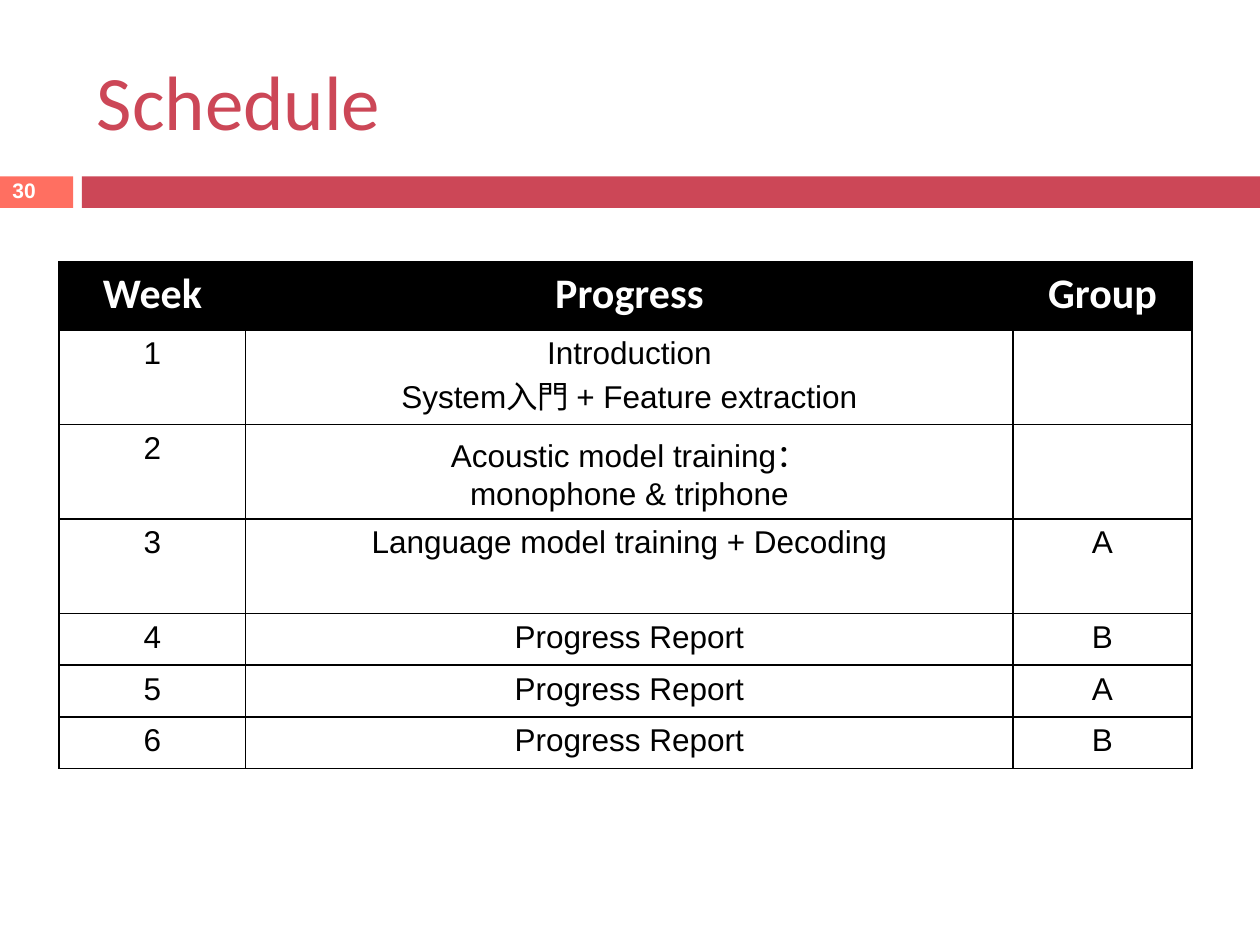
"""Build a course schedule slide with a weekly progress table."""
import pptx
import pptx.dml.color
import pptx.enum.shapes
import pptx.enum.text
import pptx.oxml
import pptx.oxml.ns
import pptx.util

Inches = pptx.util.Inches
Pt = pptx.util.Pt
ALIGN = pptx.enum.text.PP_ALIGN
ANCHOR = pptx.enum.text.MSO_ANCHOR

HUES = {"rose": "CC4757", "coral": "FF6F61", "black": "000000", "white": "FFFFFF"}
FONTS = {
    "title": {"name": "Calibri", "size": Pt(44), "bold": False, "hue": "rose"},
    "head": {"name": "Calibri", "size": Pt(24), "bold": True, "hue": "white"},
    "body": {"name": "Arial", "size": Pt(18), "bold": False, "hue": "black"},
    "page": {"name": "Arial", "size": Pt(12), "bold": True, "hue": "white"},
}
ROWS = [
    ("Week", "Progress", "Group"),
    ("1", "Introduction\nSystem入門 + Feature extraction", ""),
    ("2", "Acoustic model training：\nmonophone & triphone", ""),
    ("3", "Language model training + Decoding", "A"),
    ("4", "Progress Report", "B"),
    ("5", "Progress Report", "A"),
    ("6", "Progress Report", "B"),
]
WIDTHS = [1.48, 6.09, 1.42]
HEIGHTS = [0.54] + [0.75] * 3 + [0.41] * 3


def color(hue):
    return pptx.dml.color.RGBColor.from_string(HUES[hue])


def style(font, kind):
    for key, value in FONTS[kind].items():
        if key == "hue":
            font.color.rgb = color(value)
        else:
            setattr(font, key, value)


def write(frame, text, kind, **layout):
    frame.text = text
    for para in frame.paragraphs:
        for key, value in layout.items():
            setattr(para, key, value)
        style(para.font, kind)
        for run in para.runs:
            style(run.font, kind)


def add_bar(slide, box, hue):
    kind = pptx.enum.shapes.MSO_SHAPE.RECTANGLE
    bar = slide.shapes.add_shape(kind, *map(Inches, box))
    bar.shadow.inherit = False
    bar.fill.solid()
    bar.fill.fore_color.rgb = color(hue)
    bar.line.fill.background()


def add_label(slide, box, text, kind, **layout):
    frame = slide.shapes.add_textbox(*map(Inches, box)).text_frame
    frame.word_wrap = True
    frame.vertical_anchor = ANCHOR.MIDDLE
    write(frame, text, kind, **layout)


def add_edges(cell):
    props = cell._tc.get_or_add_tcPr()
    space = pptx.oxml.ns.nsdecls("a")
    for index, side in enumerate(("lnL", "lnR", "lnT", "lnB")):
        props.insert(index, pptx.oxml.parse_xml(
            f'<a:{side} {space} w="12700"><a:solidFill>'
            f'<a:srgbClr val="{HUES["black"]}"/></a:solidFill></a:{side}>'))


def add_grid(slide, left, top):
    size = map(Inches, (left, top, sum(WIDTHS), sum(HEIGHTS)))
    table = slide.shapes.add_table(len(ROWS), len(WIDTHS), *size).table
    table.first_row = table.horz_banding = False
    for column, width in zip(table.columns, WIDTHS):
        column.width = Inches(width)
    for index, (row, height) in enumerate(zip(table.rows, HEIGHTS)):
        row.height = Inches(height)
        for cell, text in zip(row.cells, ROWS[index]):
            write(cell.text_frame, text, "body" if index else "head",
                  alignment=ALIGN.CENTER)
            if index:
                cell.fill.background()
            else:
                cell.fill.solid()
                cell.fill.fore_color.rgb = color("black")
            add_edges(cell)


def main():
    deck = pptx.Presentation()
    deck.slide_width, deck.slide_height = Inches(10), Inches(7.5)
    slide = deck.slides.add_slide(deck.slide_layouts[6])
    add_bar(slide, (0, 1.4, 0.58, 0.25), "coral")
    add_bar(slide, (0.65, 1.4, 9.35, 0.25), "rose")
    add_label(slide, (0.67, 0.25, 8.92, 1.08), "Schedule", "title")
    add_grid(slide, 0.47, 2.08)
    add_label(slide, (0, 1.39, 0.58, 0.27), "30", "page", line_spacing=0.8)
    deck.save("out.pptx")


if __name__ == "__main__":
    main()
